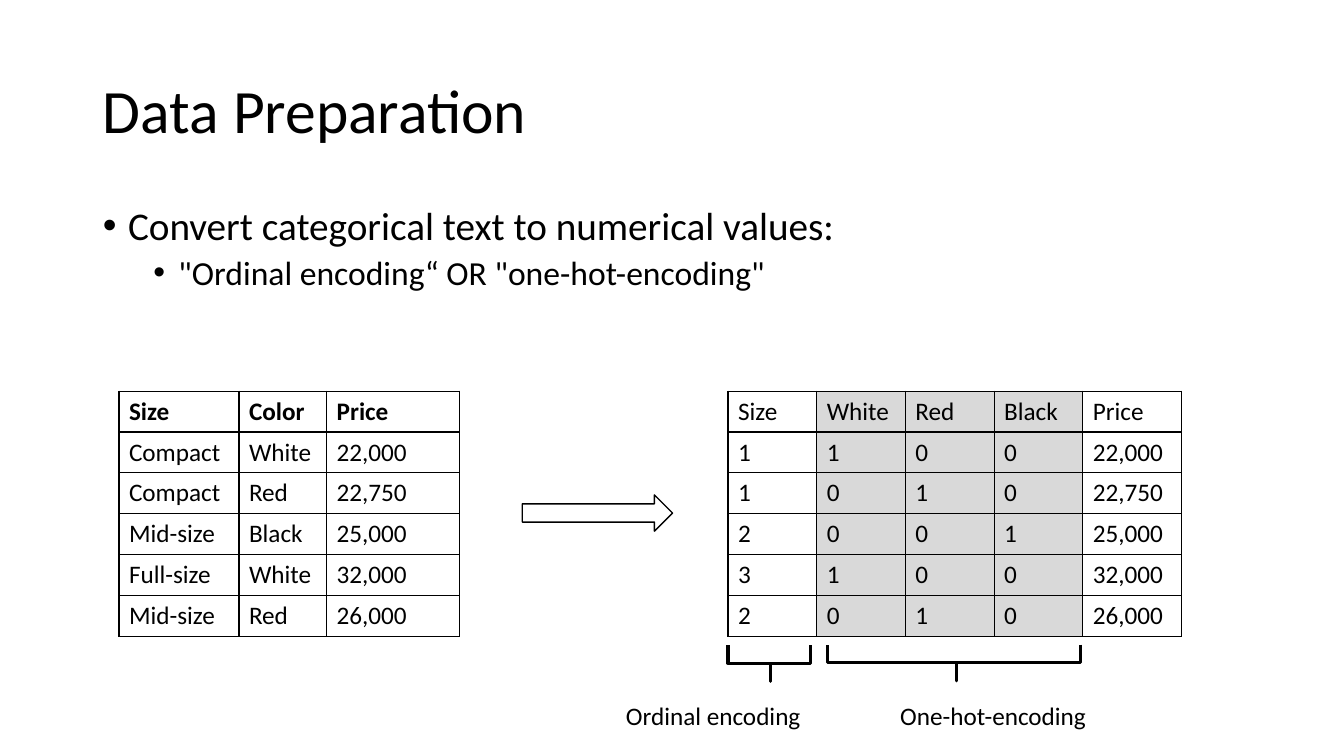
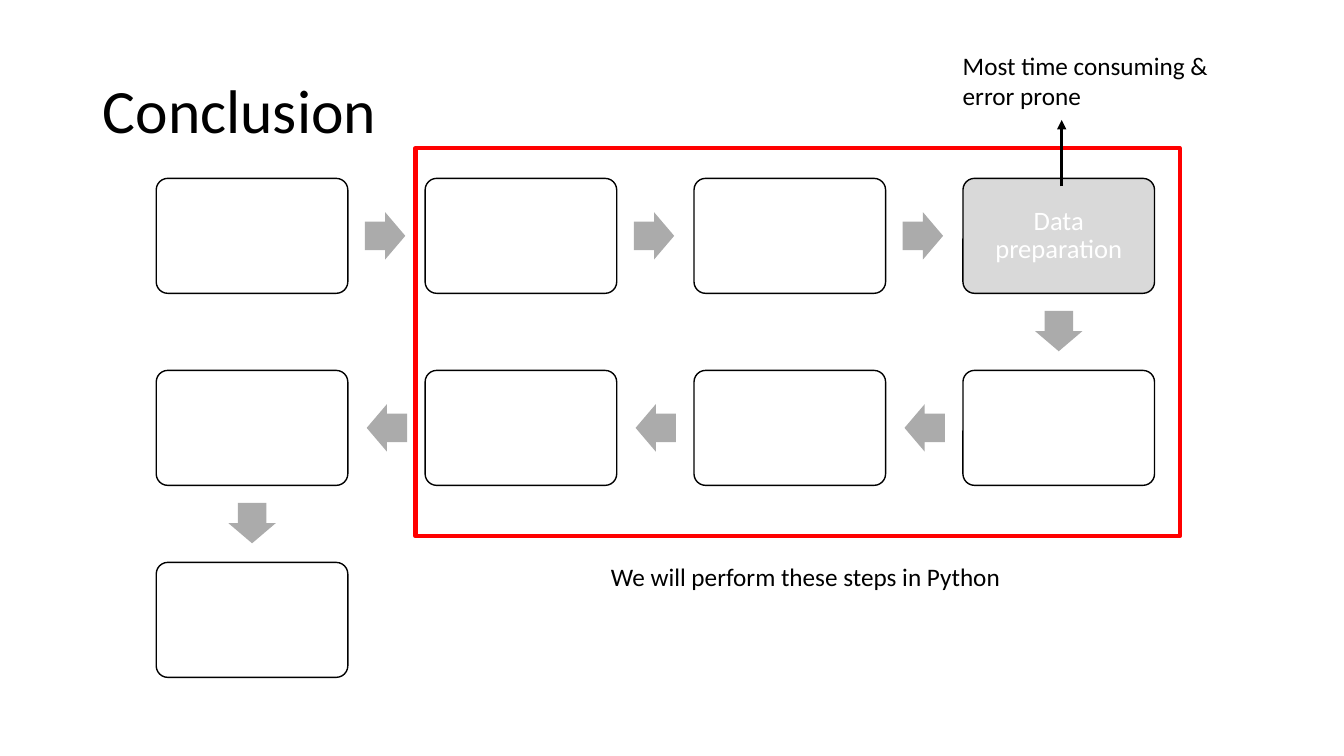
from lxml import etree
from pptx import Presentation
from pptx.dml.color import RGBColor
from pptx.enum import shapes, text
from pptx.oxml import ns
from pptx.util import Inches, Pt

COLORS = {"black": "000000", "white": "FFFFFF", "gray": "D9D9D9",
          "arrow": "ABABAB", "red": "FF0000"}
FONT = "Calibri"
SHAPE = shapes.MSO_SHAPE


def style_text(tf, size, color="black", bold=False):
    for p in tf.paragraphs:
        for r in p.runs:
            r.font.name = FONT
            r.font.size = Pt(size)
            r.font.bold = bold
            r.font.color.rgb = RGBColor.from_string(COLORS[color])


def add_box(s, kind, box, fill=None, line=None, width=1, adj=(), rotation=0):
    sp = s.shapes.add_shape(kind, *map(Inches, box))
    sp.shadow.inherit = False
    sp.rotation = rotation
    for i, value in enumerate(adj):
        sp.adjustments[i] = value
    if fill:
        sp.fill.solid()
        sp.fill.fore_color.rgb = RGBColor.from_string(COLORS[fill])
    else:
        sp.fill.background()
    if line:
        sp.line.color.rgb = RGBColor.from_string(COLORS[line])
        sp.line.width = Pt(width)
    else:
        sp.line.fill.background()
    return sp


prs = Presentation()
prs.slide_width = Inches(13.33)
prs.slide_height = Inches(7.5)

slides = []
for layout, title in [(1, "Data Preparation"), (5, "Conclusion")]:
    s = prs.slides.add_slide(prs.slide_layouts[layout])
    sp = s.shapes.title
    sp.left, sp.top, sp.width, sp.height = map(Inches, (0.92, 0.4, 11.5, 1.45))
    tf = sp.text_frame
    tf.text = title
    tf.vertical_anchor = text.MSO_ANCHOR.MIDDLE
    tf.paragraphs[0].alignment = text.PP_ALIGN.LEFT
    tf.paragraphs[0].line_spacing = 0.9
    style_text(tf, 44)
    slides.append(s)
prep, conclusion = slides

body = prep.placeholders[1]
body.left, body.top, body.width, body.height = map(Inches, (0.92, 2, 11.5, 4.76))
tf = body.text_frame
tf.text = "Convert categorical text to numerical values:\n\"Ordinal encoding“ OR \"one-hot-encoding\""
style_text(tf, 28)
for level, (p, size, before, margin) in enumerate(zip(tf.paragraphs, (28, 24), (10, 5), (0.25, 0.75))):
    p.level = level
    p.line_spacing = 0.9
    p.space_before = Pt(before)
    p.runs[0].font.size = Pt(size)
    pPr = p._p.get_or_add_pPr()
    pPr.set("marL", str(Inches(margin)))
    pPr.set("indent", str(Inches(-0.25)))
    etree.SubElement(pPr, ns.qn("a:buFont")).set("typeface", "Arial")
    etree.SubElement(pPr, ns.qn("a:buChar")).set("char", "•")

cars = [("Compact", "White", "22,000"), ("Compact", "Red", "22,750"),
        ("Mid-size", "Black", "25,000"), ("Full-size", "White", "32,000"),
        ("Mid-size", "Red", "26,000")]
ranks = {"Compact": "1", "Mid-size": "2", "Full-size": "3"}
hues = ["White", "Red", "Black"]
encoded = [(ranks[size], *(str(int(color == hue)) for hue in hues), price)
           for size, color, price in cars]
tables = [
    (1.18, [1.19, 0.87, 1.32], [("Size", "Color", "Price"), *cars], True, ()),
    (7.22, [0.88, 0.88, 0.88, 0.88, 0.98], [("Size", *hues, "Price"), *encoded], False, (1, 2, 3)),
]
for left, widths, rows, bold_header, shaded in tables:
    table = prep.shapes.add_table(len(rows), len(widths), Inches(left), Inches(3.88),
                                  Inches(sum(widths)), Inches(2.43)).table
    table.first_row = table.horz_banding = False
    for col, width in zip(table.columns, widths):
        col.width = Inches(width)
    for i, row in enumerate(rows):
        table.rows[i].height = Inches(2.43 / len(rows))
        for j, value in enumerate(row):
            cell = table.cell(i, j)
            cell.text_frame.text = value
            style_text(cell.text_frame, 18, bold=bold_header and i == 0)
            tcPr = cell._tc.get_or_add_tcPr()
            for side in ("lnL", "lnR", "lnT", "lnB"):
                ln = etree.SubElement(tcPr, ns.qn("a:" + side), w=str(Pt(1)))
                fill = etree.SubElement(ln, ns.qn("a:solidFill"))
                etree.SubElement(fill, ns.qn("a:srgbClr"), val=COLORS["black"])
            if j in shaded:
                cell.fill.solid()
                cell.fill.fore_color.rgb = RGBColor.from_string(COLORS["gray"])
            else:
                cell.fill.background()

add_box(prep, SHAPE.RIGHT_ARROW, (5.18, 4.91, 1.49, 0.36), "white", "black")
for brace in [(9.28, 5.32, 0.36, 2.51), (7.45, 6.17, 0.36, 0.82)]:
    add_box(prep, SHAPE.LEFT_BRACE, brace, None, "black", 2.25, (0, 0.51), 270)

BOX_W, BOX_H = 1.9, 1.14
ARROW_W, ARROW_H = 0.4, 0.47
steps = [(0, 0), (1, 0), (2, 0), (3, 0), (3, 1), (2, 1), (1, 1), (0, 1), (0, 2)]
for i, (col, row) in enumerate(steps):
    x, y = 1.55 + 2.667 * col, 1.77 + 1.905 * row
    is_prep = (col, row) == (3, 0)
    sp = add_box(conclusion, SHAPE.ROUNDED_RECTANGLE, (x, y, BOX_W, BOX_H),
                 "gray" if is_prep else "white", "black", adj=(0.1,))
    if is_prep:
        tf = sp.text_frame
        tf.word_wrap = True
        tf.text = "Data preparation"
        tf.vertical_anchor = text.MSO_ANCHOR.MIDDLE
        tf.paragraphs[0].alignment = text.PP_ALIGN.CENTER
        tf.paragraphs[0].line_spacing = 0.9
        style_text(tf, 19, "white")
    if i + 1 < len(steps):
        next_col, next_row = steps[i + 1]
        middle = y + (BOX_H - ARROW_H) / 2
        if next_row > row:
            spot, rotation = (x + (BOX_W - ARROW_W) / 2, y + 1.28), 90
        elif next_col > col:
            spot, rotation = (x + 2.07, middle), 0
        else:
            spot, rotation = (x - 0.58, middle), 180
        add_box(conclusion, SHAPE.RIGHT_ARROW, (*spot, ARROW_W, ARROW_H), "arrow",
                adj=(0.6, 0.5), rotation=rotation)

add_box(conclusion, SHAPE.RECTANGLE, (4.12, 1.47, 7.58, 3.85), None, "red", 3)

labels = [
    (prep, "Ordinal encoding", (6.11, 6.9, 2.21, 0.4), True),
    (prep, "One-hot-encoding", (8.83, 6.9, 2.51, 0.4), True),
    (conclusion, "We will perform these steps in Python", (5.96, 5.52, 4.11, 0.4), False),
    (conclusion, "Most time consuming & \nerror prone", (9.45, 0.45, 2.72, 0.71), False),
]
for s, label, box, wrap in labels:
    tf = s.shapes.add_textbox(*map(Inches, box)).text_frame
    tf.word_wrap = wrap
    tf.auto_size = text.MSO_AUTO_SIZE.SHAPE_TO_FIT_TEXT
    tf.paragraphs[0].text = label
    style_text(tf, 18)

callout = conclusion.shapes.add_connector(shapes.MSO_CONNECTOR.STRAIGHT, Inches(10.53), Inches(1.85),
                                          Inches(10.53), Inches(1.19))
callout.line.color.rgb = RGBColor.from_string(COLORS["black"])
callout.line.width = Pt(2.25)
etree.SubElement(callout.line._get_or_add_ln(), ns.qn("a:tailEnd"), type="triangle")
etree.SubElement(callout._element.spPr, ns.qn("a:effectLst"))

prs.save("out.pptx")
